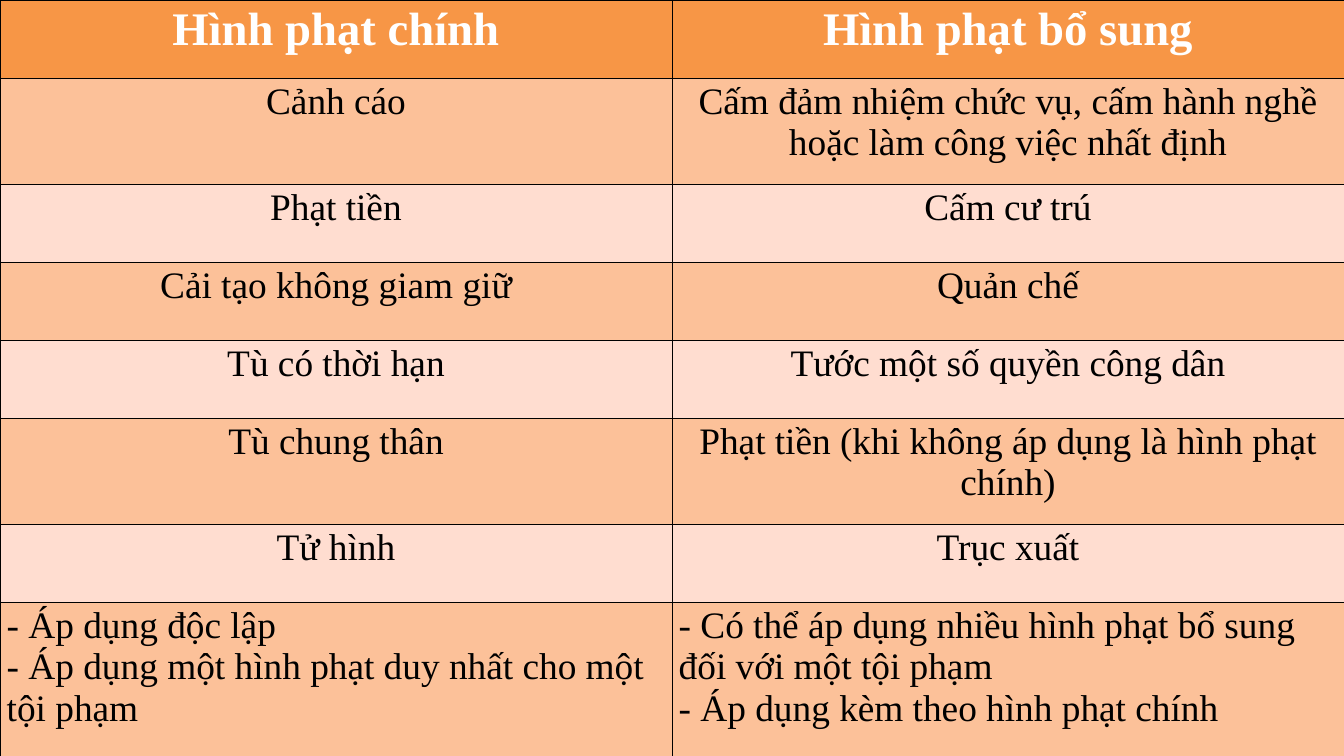
"""Builds a slide with a table of main and additional criminal penalties."""
import pptx
import pptx.dml.color
import pptx.enum.text
import pptx.oxml
import pptx.oxml.ns
import pptx.util

Inches = pptx.util.Inches
Pt = pptx.util.Pt
RGB = pptx.dml.color.RGBColor.from_string
ALIGN = pptx.enum.text.PP_ALIGN

COLORS = {"page": "C3CDFF", "head": "F79646", "dark": "FCC199",
          "light": "FFDDD0", "white": "FFFFFF", "black": "000000"}
FORMATS = {
    "head": {"name": "Times New Roman", "size": Pt(50), "bold": True},
    "body": {"name": "Times New Roman", "size": Pt(40), "bold": False},
}
ROWS = [
    (1.16, "Hình phạt chính", "Hình phạt bổ sung"),
    (1.58, "Cảnh cáo",
     "Cấm đảm nhiệm chức vụ, cấm hành nghề hoặc làm công việc nhất định"),
    (1.16, "Phạt tiền", "Cấm cư trú"),
    (1.16, "Cải tạo không giam giữ", "Quản chế"),
    (1.16, "Tù có thời hạn", "Tước một số quyền công dân"),
    (1.58, "Tù chung thân", "Phạt tiền (khi không áp dụng là hình phạt chính)"),
    (1.16, "Tử hình", "Trục xuất"),
    (2.29, "- Áp dụng độc lập\n- Áp dụng một hình phạt duy nhất cho một tội phạm",
     "- Có thể áp dụng nhiều hình phạt bổ sung đối với một tội phạm\n"
     "- Áp dụng kèm theo hình phạt chính"),
]


def border(cell):
    """Draws a thin black line on each side of a cell."""
    props = cell._tc.get_or_add_tcPr()
    for spot, side in enumerate(("lnL", "lnR", "lnT", "lnB")):
        props.insert(spot, pptx.oxml.parse_xml(
            f'<a:{side} {pptx.oxml.ns.nsdecls("a")} w="{Pt(1)}"><a:solidFill>'
            f'<a:srgbClr val="{COLORS["black"]}"/></a:solidFill></a:{side}>'))


deck = pptx.Presentation()
deck.slide_width, deck.slide_height = Inches(20), Inches(11.25)
slide = deck.slides.add_slide(deck.slide_layouts[6])
page = slide.background.fill
page.solid()
page.fore_color.rgb = RGB(COLORS["page"])

table = slide.shapes.add_table(
    len(ROWS), 2, 0, 0, Inches(20), Inches(11.25)).table
table.horz_banding = False
for column in table.columns:
    column.width = Inches(10)

for index, (height, *texts) in enumerate(ROWS):
    table.rows[index].height = Inches(height)
    kind = "body" if index else "head"
    shade = ("dark" if index % 2 else "light") if index else "head"
    ink = "black" if index else "white"
    for cell, text in zip(table.rows[index].cells, texts):
        cell.fill.solid()
        cell.fill.fore_color.rgb = RGB(COLORS[shade])
        border(cell)
        cell.text = text
        for line in cell.text_frame.paragraphs:
            line.alignment = ALIGN.LEFT if "\n" in text else ALIGN.CENTER
            font = line.runs[0].font
            for key, value in FORMATS[kind].items():
                setattr(font, key, value)
            font.color.rgb = RGB(COLORS[ink])

deck.save("out.pptx")
